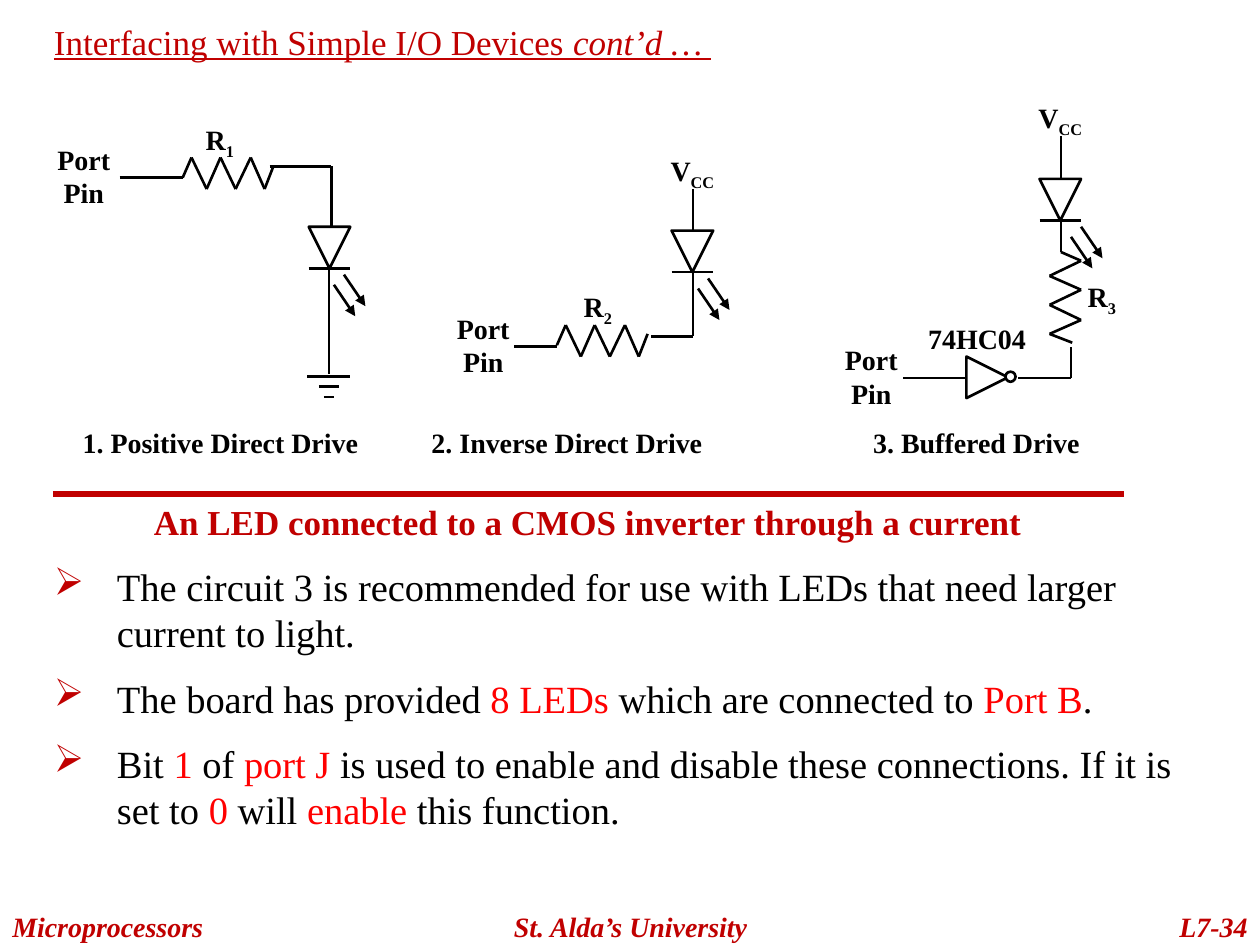
from dataclasses import dataclass
from itertools import pairwise

from lxml import etree
from pptx import Presentation
from pptx.dml.color import RGBColor
from pptx.enum.shapes import MSO_CONNECTOR, MSO_SHAPE
from pptx.enum.text import MSO_ANCHOR, PP_ALIGN
from pptx.oxml.ns import qn
from pptx.util import Inches, Pt

LEFT, CENTER, RIGHT = PP_ALIGN.LEFT, PP_ALIGN.CENTER, PP_ALIGN.RIGHT
TOP, MIDDLE = MSO_ANCHOR.TOP, MSO_ANCHOR.MIDDLE
STRAIGHT = MSO_CONNECTOR.STRAIGHT
TRIANGLE, OVAL = MSO_SHAPE.ISOSCELES_TRIANGLE, MSO_SHAPE.OVAL


@dataclass(frozen=True)
class Theme:
    font: str = "Times New Roman"
    ink: str = "000000"
    paper: str = "FFFFFF"
    accent: str = "C00000"
    highlight: str = "FF0000"
    label: int = 16
    heading: int = 20
    body: int = 22
    wire: float = 1.5
    rule: float = 3


THEME = Theme()

TITLE = [("Interfacing with Simple I/O Devices ", ""), ("cont’d …", "italic"), (" ", "")]
HEADING = "An LED connected to a CMOS inverter through a current"
BULLETS = [
    [("The circuit 3 is recommended for use with LEDs that need larger current to light.", "")],
    [("The board has provided ", ""), ("8 LEDs ", "highlight"),
     ("which are connected to ", ""), ("Port B", "highlight"), (".", "")],
    [("Bit ", ""), ("1", "highlight"), (" of ", ""), ("port J", "highlight"),
     (" is used to enable and disable these connections. If it is set to ", ""),
     ("0", "highlight"), (" will ", ""), ("enable", "highlight"), (" this function.", "")],
]
FOOTERS = [
    ("Microprocessors", 0, 2, LEFT),
    ("St. Alda’s University", 3.42, 3.17, CENTER),
    ("L7-34", 8.42, 1.58, RIGHT),
]
CAPTIONS = [
    ("1. Positive Direct Drive", 0.5),
    ("2. Inverse Direct Drive", 3.25),
    ("3. Buffered Drive", 6.5),
]
PORT_PINS = [(0.25, 1.08), (3.42, 2.42), (6.5, 2.67)]
SYMBOLS = [
    ("R", "1", 1.33, 0.92), ("R", "2", 4.33, 2.25), ("R", "3", 8.33, 2.17),
    ("V", "CC", 5.08, 1.17), ("V", "CC", 8, 0.75),
]
LEDS = [(2.45, 1.8, 0.2), (5.33, 1.83, 0.21), (8.25, 1.42, 0.25)]
RESISTORS = [(1.45, 1.25, False), (4.42, 2.58, False), (8.33, 2, True)]
WIRES = [
    [(0.95, 1.41), (1.45, 1.41)],
    [(2.14, 1.32), (2.63, 1.32), (2.63, 1.81)],
    [(2.61, 2.14), (2.61, 2.97)],
    [(4.08, 2.75), (4.42, 2.75)],
    [(5.17, 2.67), (5.5, 2.67), (5.5, 2.17)],
    [(5.5, 1.5), (5.5, 1.83)],
    [(7.17, 3), (7.67, 3)],
    [(8.08, 3), (8.5, 3), (8.5, 2.75)],
    [(8.42, 1.08), (8.42, 1.42)],
    [(8.42, 1.75), (8.42, 2)],
]
ZIGZAG_ALONG = (0, 0.07, 0.19, 0.3, 0.42, 0.54, 0.65, 0.72)
ZIGZAG_ACROSS = (0.16, 0, 0.25, 0, 0.25, 0, 0.25, 0.07)
ZIGZAG_HEIGHT = 0.25
GATE = 0.33
GROUND_CENTER, GROUND_TOP, GROUND_GAP = 2.61, 2.99, 0.08
GROUND_WIDTHS = (0.34, 0.16, 0.08)


def color(value):
    return RGBColor.from_string(value)


def add_line(slide, start, end, width=THEME.wire, line_color=THEME.ink, arrow=False):
    connector = slide.shapes.add_connector(STRAIGHT, *map(Inches, (*start, *end)))
    connector.line.color.rgb = color(line_color)
    connector.line.width = Pt(width)
    properties = connector._element.spPr
    if arrow:
        etree.SubElement(properties.find(qn("a:ln")), qn("a:tailEnd"), type="triangle")
    etree.SubElement(properties, qn("a:effectLst"))


def add_path(slide, points):
    for start, end in pairwise(points):
        add_line(slide, start, end)


def add_outline(slide, kind, left, top, size, rotation=0):
    shape = slide.shapes.add_shape(kind, *map(Inches, (left, top, size, size)))
    shape.rotation = rotation
    shape.shadow.inherit = False
    shape.fill.solid()
    shape.fill.fore_color.rgb = color(THEME.paper)
    shape.line.color.rgb = color(THEME.ink)
    shape.line.width = Pt(THEME.wire)


def add_text(slide, box, paragraphs, size=THEME.label, text_color=THEME.ink, align=CENTER,
             anchor=TOP, bold=False, italic=False, underline=False):
    frame = slide.shapes.add_textbox(*map(Inches, box)).text_frame
    frame.word_wrap = True
    frame.vertical_anchor = anchor
    for index, parts in enumerate(paragraphs):
        paragraph = frame.add_paragraph() if index else frame.paragraphs[0]
        paragraph.alignment = align
        for text, style in parts:
            run = paragraph.add_run()
            run.text = text
            font = run.font
            font.name, font.size = THEME.font, Pt(size)
            font.bold, font.underline = bold, underline
            font.italic = italic or style == "italic"
            font.color.rgb = color(THEME.highlight if style == "highlight" else text_color)
            if style == "subscript":
                font._element.set("baseline", "-25000")
    return frame


def add_bullets(frame):
    for paragraph in frame.paragraphs:
        paragraph.space_before = Pt(THEME.body / 2)
        properties = paragraph._p.get_or_add_pPr()
        properties.set("marL", str(Inches(0.5)))
        properties.set("indent", str(Inches(-0.5)))
        bullet_color = etree.SubElement(properties, qn("a:buClr"))
        etree.SubElement(bullet_color, qn("a:srgbClr"), val=THEME.accent)
        etree.SubElement(properties, qn("a:buChar"), char="➢")


def add_resistor(slide, left, top, vertical):
    points = zip(ZIGZAG_ALONG, ZIGZAG_ACROSS)
    if vertical:
        points = ((ZIGZAG_HEIGHT - across, along) for along, across in points)
    add_path(slide, [(left + x, top + y) for x, y in points])


def add_led(slide, left, top, ray):
    add_outline(slide, TRIANGLE, left, top, GATE, 180)
    add_line(slide, (left, top + GATE), (left + GATE, top + GATE))
    for x, y in ((left + ray, top + 0.46), (left + ray + 0.08, top + 0.38)):
        add_line(slide, (x, y), (x + 0.17, y + 0.25), arrow=True)


def add_circuits(slide):
    for resistor in RESISTORS:
        add_resistor(slide, *resistor)
    for points in WIRES:
        add_path(slide, points)
    for led in LEDS:
        add_led(slide, *led)
    add_outline(slide, TRIANGLE, 7.67, 2.83, GATE, 90)
    add_outline(slide, OVAL, 7.98, 2.95, 0.08)
    for index, width in enumerate(GROUND_WIDTHS):
        y = GROUND_TOP + index * GROUND_GAP
        add_line(slide, (GROUND_CENTER - width / 2, y), (GROUND_CENTER + width / 2, y))


def add_labels(slide):
    labels = [((7.17, 2.5, 1.17, 0.37), [("74HC04", "")])]
    labels += [((x, y, 0.83, 0.64), [("Port Pin", "")]) for x, y in PORT_PINS]
    labels += [((x, y, 0.83, 0.37), [(name, ""), (suffix, "subscript")])
               for name, suffix, x, y in SYMBOLS]
    labels += [((x, 3.33, 2.5, 0.37), [(text, "")]) for text, x in CAPTIONS]
    for box, parts in labels:
        add_text(slide, box, [parts], bold=True)


def main():
    presentation = Presentation()
    presentation.slide_width, presentation.slide_height = Inches(10), Inches(7.5)
    slide = presentation.slides.add_slide(presentation.slide_layouts[6])
    add_text(slide, (0.33, 0.08, 8.5, 0.5), [TITLE], THEME.heading, THEME.accent,
             LEFT, MIDDLE, underline=True)
    add_circuits(slide)
    add_labels(slide)
    add_text(slide, (0.58, 3.92, 8.17, 0.43), [[(HEADING, "")]], THEME.heading,
             THEME.accent, bold=True)
    add_line(slide, (0.42, 3.92), (8.92, 3.92), THEME.rule, THEME.accent)
    add_bullets(add_text(slide, (0.33, 4.42, 9.08, 2.3), BULLETS, THEME.body, align=LEFT))
    for text, left, width, align in FOOTERS:
        add_text(slide, (left, 7.17, width, 0.33), [[(text, "")]], text_color=THEME.accent,
                 align=align, bold=True, italic=True)
    presentation.save("out.pptx")


if __name__ == "__main__":
    main()
